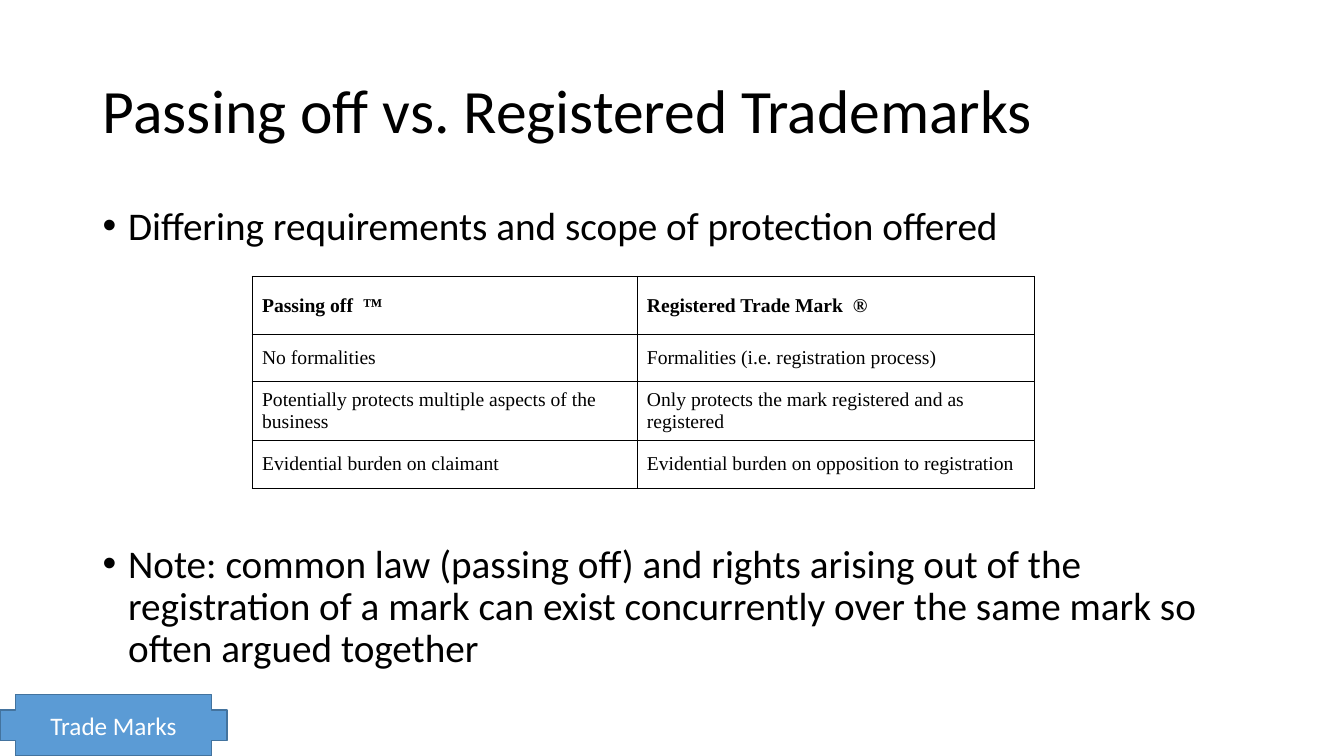
from lxml import etree
from pptx import Presentation
from pptx.dml.color import RGBColor
from pptx.enum.shapes import MSO_SHAPE
from pptx.enum.text import MSO_ANCHOR, MSO_AUTO_SIZE, PP_ALIGN
from pptx.oxml.ns import qn
from pptx.util import Cm, Pt

BLACK = RGBColor(0x00, 0x00, 0x00)
WHITE = RGBColor(0xFF, 0xFF, 0xFF)
BLUE = RGBColor(0x5B, 0x9B, 0xD5)
DARK_BLUE = RGBColor(0x43, 0x73, 0x9E)

MIDDLE = MSO_ANCHOR.MIDDLE
LEFT, CENTER = PP_ALIGN.LEFT, PP_ALIGN.CENTER
NO_AUTOFIT = MSO_AUTO_SIZE.NONE
PLUS = MSO_SHAPE.CROSS
TITLE_ONLY = 5

TITLE = "Passing off vs. Registered Trademarks"
POINTS = [
    ("Differing requirements and scope of protection offered", 10),
    ("Note: common law (passing off) and rights arising out of the registration "
     "of a mark can exist concurrently over the same mark so often argued together", 211),
]
COMPARISON = [
    ("Passing off  ™", "Registered Trade Mark  ®"),
    ("No formalities", "Formalities (i.e. registration process)"),
    ("Potentially protects multiple aspects of the business",
     "Only protects the mark registered and as registered"),
    ("Evidential burden on claimant", "Evidential burden on opposition to registration"),
]
COLUMN_WIDTHS = (9.7, 10.01)
ROW_HEIGHTS = (1.47, 1.19, 1.47, 1.22)


def write(para, text, size, font="Calibri", color=BLACK, bold=False,
          align=LEFT, spacing=1.0, before=0):
    para.alignment = align
    para.line_spacing = spacing
    para.space_before = Pt(before)
    span = para.add_run()
    span.text = text
    span.font.name = font
    span.font.size = Pt(size)
    span.font.bold = bold
    span.font.color.rgb = color


def add_bullet(para, indent):
    properties = para._p.get_or_add_pPr()
    properties.set("marL", str(indent))
    properties.set("indent", str(-indent))
    etree.SubElement(properties, qn("a:buFont"), typeface="Arial")
    etree.SubElement(properties, qn("a:buChar"), char="•")


def add_borders(cell, color, width):
    properties = cell._tc.get_or_add_tcPr()
    for position, side in enumerate(("a:lnL", "a:lnR", "a:lnT", "a:lnB")):
        line = etree.Element(qn(side), w=str(width))
        fill = etree.SubElement(line, qn("a:solidFill"))
        etree.SubElement(fill, qn("a:srgbClr"), val=str(color))
        properties.insert(position, line)


def place_title(page, left, top, width, height):
    title = page.shapes.title
    title.left, title.top, title.width, title.height = left, top, width, height
    frame = title.text_frame
    frame.word_wrap = True
    frame.auto_size = NO_AUTOFIT
    frame.vertical_anchor = MIDDLE
    write(frame.paragraphs[0], TITLE, 44, spacing=0.9)


def place_points(page, left, top, width, height):
    frame = page.shapes.add_textbox(left, top, width, height).text_frame
    frame.word_wrap = True
    for index, (text, before) in enumerate(POINTS):
        para = frame.add_paragraph() if index else frame.paragraphs[0]
        write(para, text, 28, spacing=0.9, before=before)
        add_bullet(para, Cm(0.64))


def place_comparison(page, left, top):
    table = page.shapes.add_table(
        len(ROW_HEIGHTS), len(COLUMN_WIDTHS), left, top,
        Cm(sum(COLUMN_WIDTHS)), Cm(sum(ROW_HEIGHTS))).table
    table.first_row = False
    table.horz_banding = False
    for column, width in zip(table.columns, COLUMN_WIDTHS):
        column.width = Cm(width)
    for index, (row, height) in enumerate(zip(table.rows, ROW_HEIGHTS)):
        row.height = Cm(height)
        for cell, text in zip(row.cells, COMPARISON[index]):
            cell.vertical_anchor = MIDDLE
            cell.fill.background()
            add_borders(cell, BLACK, Pt(0.5))
            write(cell.text_frame.paragraphs[0], text, 14,
                  font="Times New Roman", bold=index == 0)


def place_topic_label(page, left, top, width, height):
    label = page.shapes.add_shape(PLUS, left, top, width, height)
    label.shadow.inherit = False
    label.fill.solid()
    label.fill.fore_color.rgb = BLUE
    label.line.color.rgb = DARK_BLUE
    label.line.width = Pt(1)
    label.text_frame.vertical_anchor = MIDDLE
    write(label.text_frame.paragraphs[0], "Trade Marks", 18, color=WHITE, align=CENTER)


def main():
    deck = Presentation()
    deck.slide_width, deck.slide_height = Cm(33.87), Cm(19.05)
    page = deck.slides.add_slide(deck.slide_layouts[TITLE_ONLY])
    place_title(page, Cm(2.34), Cm(1.02), Cm(29.21), Cm(3.68))
    place_points(page, Cm(2.34), Cm(5.08), Cm(29.21), Cm(12.09))
    place_comparison(page, Cm(6.35), Cm(6.96))
    place_topic_label(page, Cm(0), Cm(17.5), Cm(5.72), Cm(1.55))
    deck.save("out.pptx")


if __name__ == "__main__":
    main()
